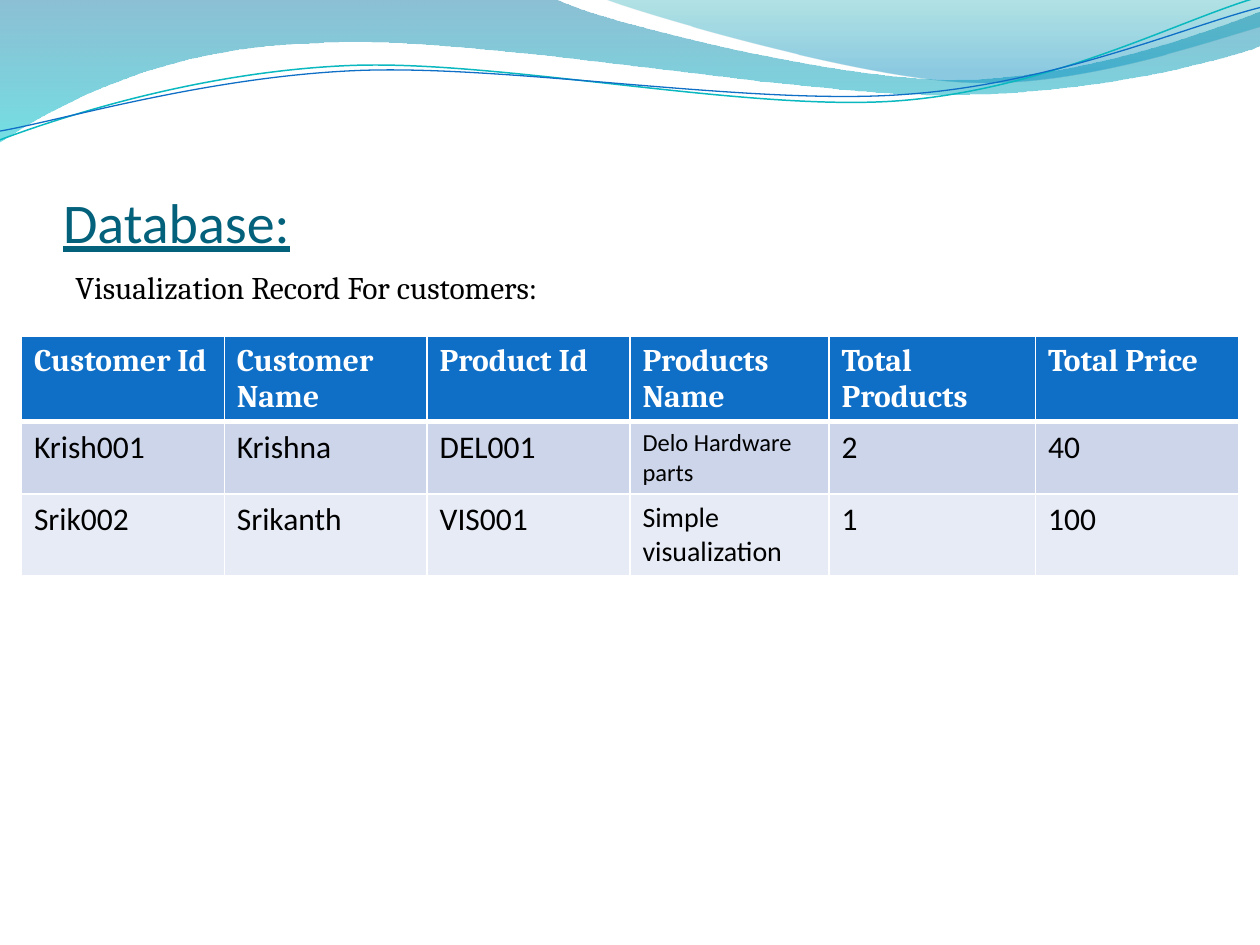
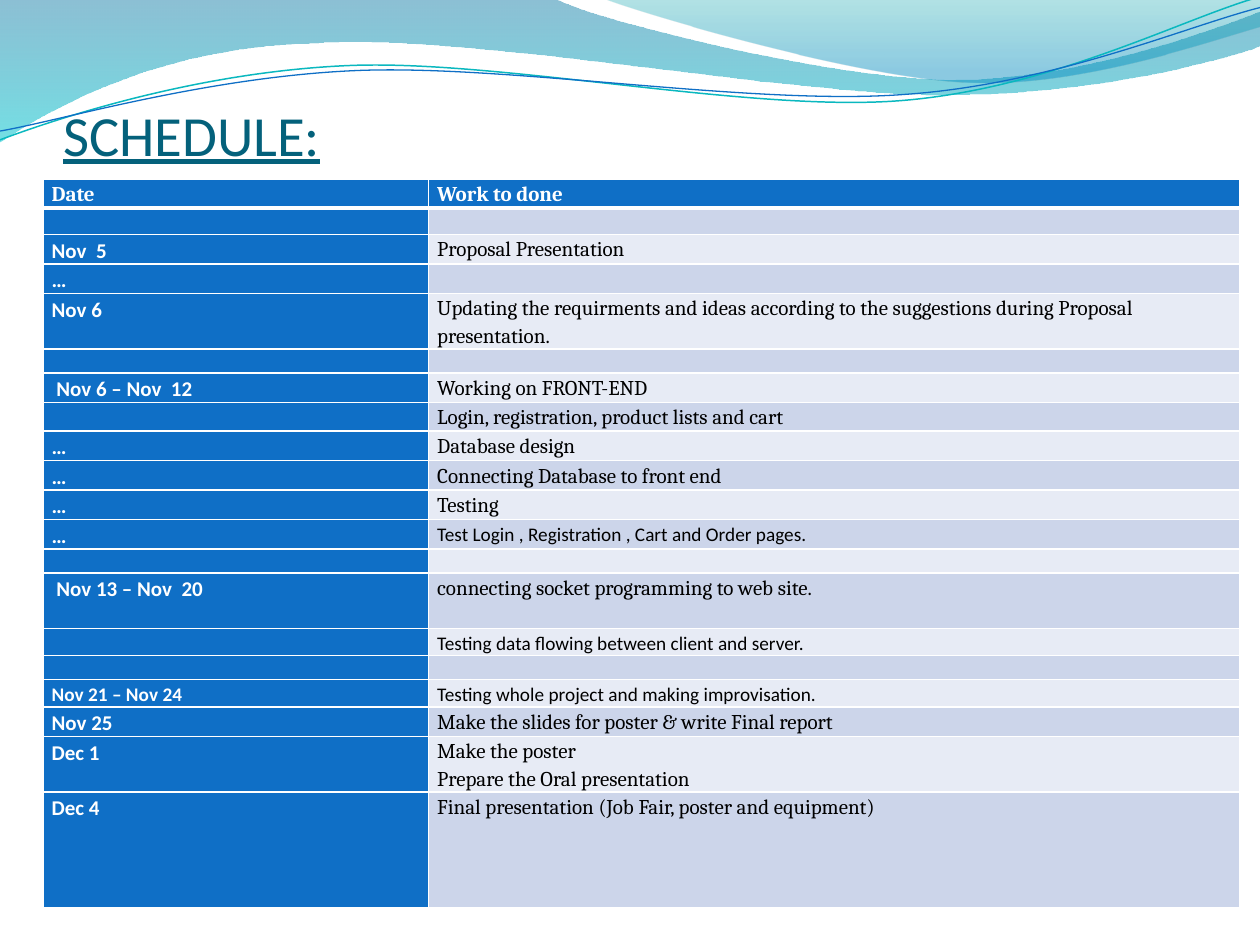
from math import cos, radians, sin

from lxml.etree import SubElement
from pptx import Presentation
from pptx.dml.color import RGBColor
from pptx.enum.text import MSO_ANCHOR, MSO_AUTO_SIZE, PP_ALIGN
from pptx.oxml.ns import qn
from pptx.util import Inches, Pt

COLORS = {"title": "04617B", "head": "0F6FC6", "odd": "CCD5EA", "even": "E7EBF5",
          "white": "FFFFFF", "text": "000000", "teal": "0AB8BF"}
SANS, SERIF = "Calibri", "Cambria"

# Text formats
TITLE = {"name": SANS, "bold": False, "underline": True, "color": "title"}
CAPTION = {"name": SERIF, "size": 18, "color": "text"}
HEAD = {"name": SERIF, "bold": True, "color": "white"}
BODY = {"name": SANS, "bold": False, "color": "text"}
DATE = {"name": SANS, "bold": True, "color": "white"}
TASK = {"name": SERIF, "bold": False, "color": "text"}
SMALL = {"name": SANS, "size": 11}

# Customer records; a cell is a text or a (text, format changes) pair
RECORDS = [
    ["Customer Id", "Customer Name", "Product Id", "Products Name",
     "Total Products", "Total Price"],
    ["Krish001", "Krishna", "DEL001", ("Delo Hardware parts", {"size": 14}), "2", "40"],
    ["Srik002", "Srikanth", "VIS001", ("Simple visualization", {"size": 16}), "1", "100"],
]
RECORD_WIDTHS = [1.61, 1.61, 1.61, 1.58, 1.64, 1.61]
RECORD_HEIGHTS = [0.67, 0.57, 0.65]

# Schedule: row height, date, work
GAP, LINE, DOUBLE = 0.19, 0.23, 0.44
SCHEDULE = [
    (0.23, "Date", "Work to done"),
    (0.21, "", ""),
    (LINE, "Nov  5", "Proposal Presentation"),
    (LINE, "…", ""),
    (DOUBLE, "Nov 6", "Updating the requirments and ideas according to the "
                      "suggestions during Proposal presentation."),
    (GAP, "", ""),
    (LINE, " Nov 6 – Nov  12", "Working on FRONT-END"),
    (LINE, "", "Login, registration, product lists and cart"),
    (LINE, "…", "Database design"),
    (LINE, "…", "Connecting Database to front end"),
    (LINE, "…", "Testing"),
    (LINE, "…", ("Test Login , Registration , Cart and Order pages.", SMALL)),
    (GAP, "", ""),
    (DOUBLE, " Nov 13 – Nov  20", "connecting socket programming to web site."),
    (0.21, "", ("Testing data flowing between client and server.", SMALL)),
    (GAP, "", ""),
    (0.21, ("Nov 21 – Nov 24", SMALL),
     ("Testing whole project and making improvisation.", SMALL)),
    (LINE, "Nov 25", "Make the slides for poster & write Final report"),
    (DOUBLE, "Dec 1", "Make the poster\nPrepare the Oral presentation"),
    (0.92, "Dec 4", "Final presentation (Job Fair, poster and equipment)"),
]

# Wave outlines: a 2-number step is a line, a 6-number step a Bezier curve
BANDS = [
    ([(0, 0), (4.4, -0.01), (4.76, 0.17, 6.64, 0.63, 7.58, 0.63),
      (8.53, 0.63, 9.58, 0.26, 10, 0.09), (10.01, 0.36),
      (9.83, 0.44, 8.7, 0.76, 7.46, 0.75), (6.22, 0.75, 3.82, 0.28, 2.57, 0.34),
      (1.29, 0.36, 0.46, 0.83, -0.01, 1.13), (0, 0)],
     [(0, "0074A1", 45), (1, "00C6CF", 55)]),
    ([(4.79, -0.01), (5.09, 0.11, 6.82, 0.62, 7.69, 0.65),
      (8.56, 0.69, 9.61, 0.32, 10, 0.21), (10, 0), (4.79, -0.01)],
     [(0, "00A1A9", 30), (0.8, "008BBF", 45)]),
]
STRANDS = [
    ([(0, 1.11), (0.48, 0.93, 1.58, 0.57, 2.77, 0.52),
      (3.95, 0.47, 5.93, 0.89, 7.13, 0.8), (8.33, 0.71, 9.38, 0.15, 9.98, -0.02)],
     "teal", 0.85),
    ([(0, 1.04), (0.47, 0.96, 1.64, 0.61, 2.83, 0.56),
      (4.03, 0.51, 5.97, 0.84, 7.17, 0.75), (8.36, 0.67, 9.41, 0.21, 10, 0.06)],
     "head", 0.75),
]
STRAND_TILT = -2.7
STRAND_CENTER = (4.99, 0.58)


def rgb(name):
    return RGBColor.from_string(COLORS[name])


def style(paragraph, formats):
    for run in paragraph.runs:
        for key, value in formats.items():
            if key == "color":
                run.font.color.rgb = rgb(value)
            else:
                setattr(run.font, key, Pt(value) if key == "size" else value)


def turn(point, degrees):
    """Turn a point about the centre of the strands."""
    angle = radians(degrees)
    dx, dy = (value - middle for value, middle in zip(point, STRAND_CENTER))
    return (STRAND_CENTER[0] + dx * cos(angle) - dy * sin(angle),
            STRAND_CENTER[1] + dx * sin(angle) + dy * cos(angle))


def add_outline(slide, steps, close, tilt=0):
    points = [turn(step[i:i + 2], -tilt) for step in steps for i in range(0, len(step), 2)]
    start, *rest = [(Inches(x), Inches(y)) for x, y in points]
    builder = slide.shapes.build_freeform(*start)
    builder.add_line_segments(rest, close=close)
    outline = builder.convert_to_shape()
    outline.rotation = tilt
    outline.shadow.inherit = False
    # Join the three segments of each curve into one Bezier segment
    segments = iter(outline.element.findall(".//" + qn("a:lnTo")))
    for step in steps[1:]:
        segment = next(segments)
        if len(step) == 6:
            curve = segment.makeelement(qn("a:cubicBezTo"))
            segment.addprevious(curve)
            for part in (segment, next(segments), next(segments)):
                curve.append(part.find(qn("a:pt")))
                part.getparent().remove(part)
    return outline


def add_waves(slide):
    """Draw the waves and hand them to the layout, so every slide shows them."""
    waves = []
    for steps, stops in BANDS:
        band = add_outline(slide, steps, True)
        band.line.fill.background()
        band.fill.gradient()
        band.fill.gradient_angle = 270
        for stop, (position, color, _) in zip(band.fill.gradient_stops, stops):
            stop.position = position
            stop.color.rgb = RGBColor.from_string(color)
        gradient = band.element.find(".//" + qn("a:gradFill"))
        for color, (_, _, opacity) in zip(gradient.iter(qn("a:srgbClr")), stops):
            SubElement(color, qn("a:alpha"), val=str(opacity * 1000))
        waves.append(band)
    for steps, color, width in STRANDS:
        strand = add_outline(slide, steps, False, STRAND_TILT)
        strand.fill.background()
        strand.line.color.rgb = rgb(color)
        strand.line.width = Pt(width)
        waves.append(strand)
    for wave in waves:
        slide.slide_layout.shapes.element.append(wave.element)


def add_title(slide, text, height, size):
    title = slide.shapes.title
    title.left, title.top, title.width, title.height = map(Inches, (0.5, 0.77, 9, height))
    frame = title.text_frame
    frame.text = text
    layout = {"auto_size": MSO_AUTO_SIZE.NONE, "vertical_anchor": MSO_ANCHOR.BOTTOM,
              "margin_left": 0, "margin_top": Inches(0.05),
              "margin_right": 0, "margin_bottom": 0}
    for key, value in layout.items():
        setattr(frame, key, value)
    frame.paragraphs[0].alignment = PP_ALIGN.LEFT
    style(frame.paragraphs[0], {**TITLE, "size": size})


def add_borders(frame, column_count):
    """White rules round each cell, a thick one under the header row."""
    for index, properties in enumerate(frame.element.iter(qn("a:tcPr"))):
        row = index // column_count
        widths = {"a:lnL": 1, "a:lnR": 1, "a:lnT": 3 if row == 1 else 1,
                  "a:lnB": 3 if row == 0 else 1}
        for place, (side, width) in enumerate(widths.items()):
            border = properties.makeelement(qn(side), w=str(Pt(width)))
            fill = SubElement(border, qn("a:solidFill"))
            SubElement(fill, qn("a:srgbClr"), val=COLORS["white"])
            properties.insert(place, border)


def add_grid(slide, left, top, rows, widths, heights, size, formats,
             margins=(0.1, 0.05), spacing=None, date_column=False):
    """formats holds one body text format per column."""
    frame = slide.shapes.add_table(len(rows), len(widths), Inches(left), Inches(top),
                                   Inches(sum(widths)), Inches(sum(heights)))
    grid = frame.table
    grid.first_col = date_column
    for column, width in zip(grid.columns, widths):
        column.width = Inches(width)
    for r, (row, height) in enumerate(zip(rows, heights)):
        grid.rows[r].height = Inches(height)
        for c, entry in enumerate(row):
            text, changes = entry if isinstance(entry, tuple) else (entry, {})
            cell = grid.cell(r, c)
            cell.margin_left = cell.margin_right = Inches(margins[0])
            cell.margin_top = cell.margin_bottom = Inches(margins[1])
            blue = r == 0 or (date_column and c == 0)
            cell.fill.solid()
            cell.fill.fore_color.rgb = rgb("head" if blue else "odd" if r % 2 else "even")
            if not text:
                continue
            cell.text = text
            for paragraph in cell.text_frame.paragraphs:
                if spacing:
                    paragraph.line_spacing = spacing
                style(paragraph, {"size": size, **(HEAD if r == 0 else formats[c]), **changes})
    # Empty cells keep a small type size so that their rows stay low
    for paragraph in frame.element.iter(qn("a:p")):
        if paragraph.find(qn("a:r")) is None:
            SubElement(paragraph, qn("a:endParaRPr"), sz="1100")
    add_borders(frame, len(widths))


def main():
    deck = Presentation()
    deck.slide_width, deck.slide_height = Inches(10), Inches(7.5)
    title_only = deck.slide_layouts[5]

    # Database slide
    database = deck.slides.add_slide(title_only)
    add_waves(database)
    add_title(database, "Database:", 1.25, 32)
    add_grid(database, 0.17, 2.67, RECORDS, RECORD_WIDTHS, RECORD_HEIGHTS, 18,
             [BODY] * len(RECORD_WIDTHS))
    caption = database.shapes.add_textbox(*map(Inches, (0.5, 2.08, 5, 0.4))).text_frame
    caption.word_wrap = True
    caption.auto_size = MSO_AUTO_SIZE.SHAPE_TO_FIT_TEXT
    caption.text = "Visualization Record For customers:"
    style(caption.paragraphs[0], CAPTION)

    # Schedule slide
    schedule = deck.slides.add_slide(title_only)
    add_title(schedule, "SCHEDULE:", 0.56, 32.4)
    add_grid(schedule, 0.34, 1.42, [row[1:] for row in SCHEDULE], [3.06, 6.44],
             [row[0] for row in SCHEDULE], 12, [DATE, TASK],
             margins=(0.07, 0), spacing=1.15, date_column=True)

    deck.save("out.pptx")


if __name__ == "__main__":
    main()
